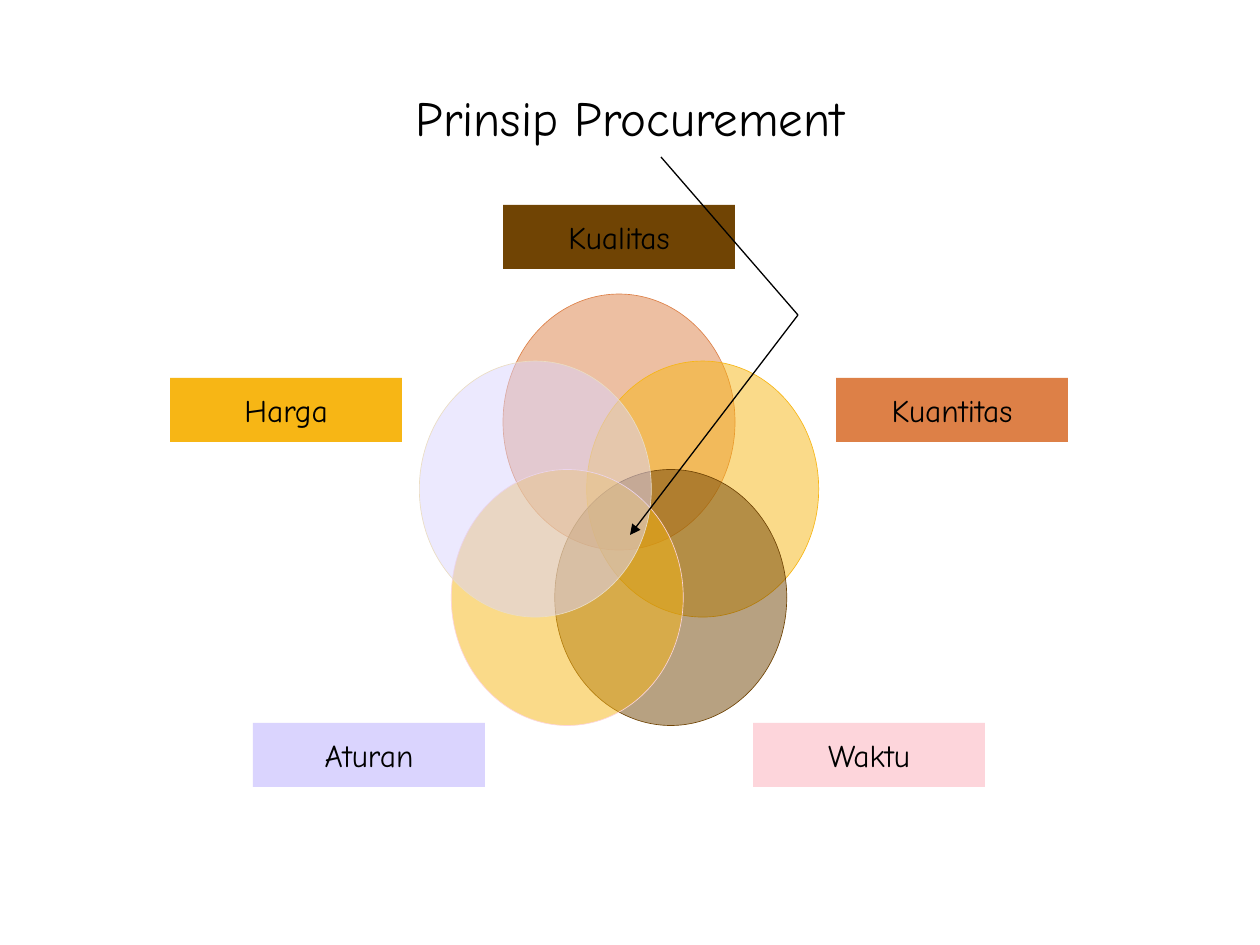
from math import cos, radians, sin
from typing import NamedTuple

from lxml.etree import SubElement
from pptx import Presentation
from pptx.dml.color import RGBColor
from pptx.enum.shapes import MSO_CONNECTOR, MSO_SHAPE
from pptx.enum.text import MSO_ANCHOR, PP_ALIGN
from pptx.oxml.ns import qn
from pptx.util import Emu, Pt

PX = 914400 / 126
FONT = "Comic Neue"
COLORS = {
    "black": "000000",
    "brown": "704404",
    "orange": "DD8047",
    "amber": "F7B615",
    "lilac": "DAD4FE",
    "pink": "FDD5DB",
    "sand": "EBDDC3",
}

# Circles sit on a pentagon around the centre, clockwise from the top
CENTER_X, CENTER_Y = 619, 519
RADIUS_X, RADIUS_Y = 88, 97
CIRCLE_W, CIRCLE_H = 232, 256
LABEL_W, LABEL_H = 232, 64


class Principle(NamedTuple):
    name: str
    circle_fill: str
    circle_line: str
    label_fill: str
    label_dx: int  # label centre, measured from CENTER_X
    label_top: int


PRINCIPLES = [
    Principle("Kualitas", "orange", "orange", "brown", 0, 205),
    Principle("Kuantitas", "amber", "amber", "orange", 333, 378),
    Principle("Waktu", "brown", "brown", "pink", 250, 723),
    Principle("Aturan", "amber", "pink", "lilac", -250, 723),
    Principle("Harga", "lilac", "sand", "amber", -333, 378),
]


def px(value: float) -> Emu:
    return Emu(round(value * PX))


def rgb(name: str) -> RGBColor:
    return RGBColor.from_string(COLORS[name])


def write_text(shape, text: str, size: int) -> None:
    tf = shape.text_frame
    tf.text = text
    tf.vertical_anchor = MSO_ANCHOR.MIDDLE
    p = tf.paragraphs[0]
    p.alignment = PP_ALIGN.CENTER
    font = p.runs[0].font
    font.name, font.size = FONT, Pt(size)
    font.color.rgb = rgb("black")


def add_filled(s, kind, left: float, top: float, width: int, height: int, color: str):
    sp = s.shapes.add_shape(kind, px(left), px(top), px(width), px(height))
    sp.shadow.inherit = False
    sp.fill.solid()
    sp.fill.fore_color.rgb = rgb(color)
    return sp


def add_circle(s, item: Principle, angle: float) -> None:
    left = CENTER_X + RADIUS_X * sin(angle) - CIRCLE_W / 2
    top = CENTER_Y - RADIUS_Y * cos(angle) - CIRCLE_H / 2
    sp = add_filled(s, MSO_SHAPE.OVAL, left, top, CIRCLE_W, CIRCLE_H, item.circle_fill)
    color = sp.fill._xPr.find(qn("a:solidFill"))[0]
    SubElement(color, qn("a:alpha"), val="50000")
    sp.line.color.rgb = rgb(item.circle_line)
    sp.line.width = Pt(0.37)


def add_label(s, item: Principle) -> None:
    left = CENTER_X + item.label_dx - LABEL_W / 2
    sp = add_filled(s, MSO_SHAPE.RECTANGLE, left, item.label_top, LABEL_W, LABEL_H, item.label_fill)
    sp.line.fill.background()
    tf = sp.text_frame
    tf.margin_left = tf.margin_right = tf.margin_top = tf.margin_bottom = 0
    tf.word_wrap = False
    write_text(sp, item.name, 18)


def add_line(s, start: tuple[int, int], end: tuple[int, int], arrow: bool = False) -> None:
    line = s.shapes.add_connector(MSO_CONNECTOR.STRAIGHT, *map(px, start + end))
    line.line.color.rgb = rgb("black")
    line.line.width = Pt(0.75)
    if arrow:
        SubElement(line.line._get_or_add_ln(), qn("a:tailEnd"), type="triangle")
    SubElement(line._element.spPr, qn("a:effectLst"))


def main() -> None:
    prs = Presentation()
    prs.slide_width, prs.slide_height = px(1260), px(945)
    s = prs.slides.add_slide(prs.slide_layouts[6])

    # Title
    title = s.shapes.add_textbox(px(63), px(38), px(1134), px(158))
    title.text_frame.word_wrap = True
    write_text(title, "Prinsip Procurement", 28)

    # Overlapping circles and their labels
    for i, item in enumerate(PRINCIPLES):
        add_circle(s, item, radians(360 / len(PRINCIPLES) * i))
        add_label(s, item)

    # Bent pointer from the title to the shared middle
    bend = (798, 315)
    add_line(s, bend, (630, 535), arrow=True)
    add_line(s, bend, (661, 157))

    prs.save("out.pptx")


if __name__ == "__main__":
    main()
